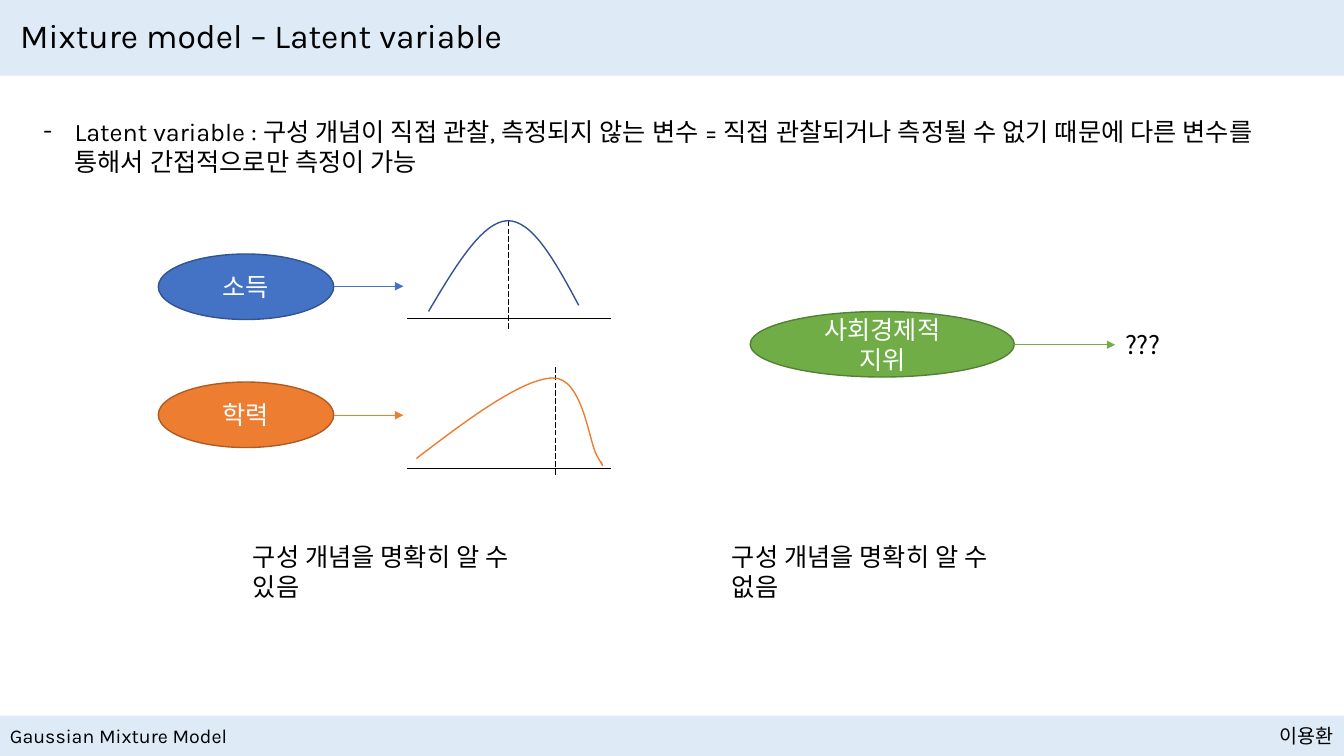
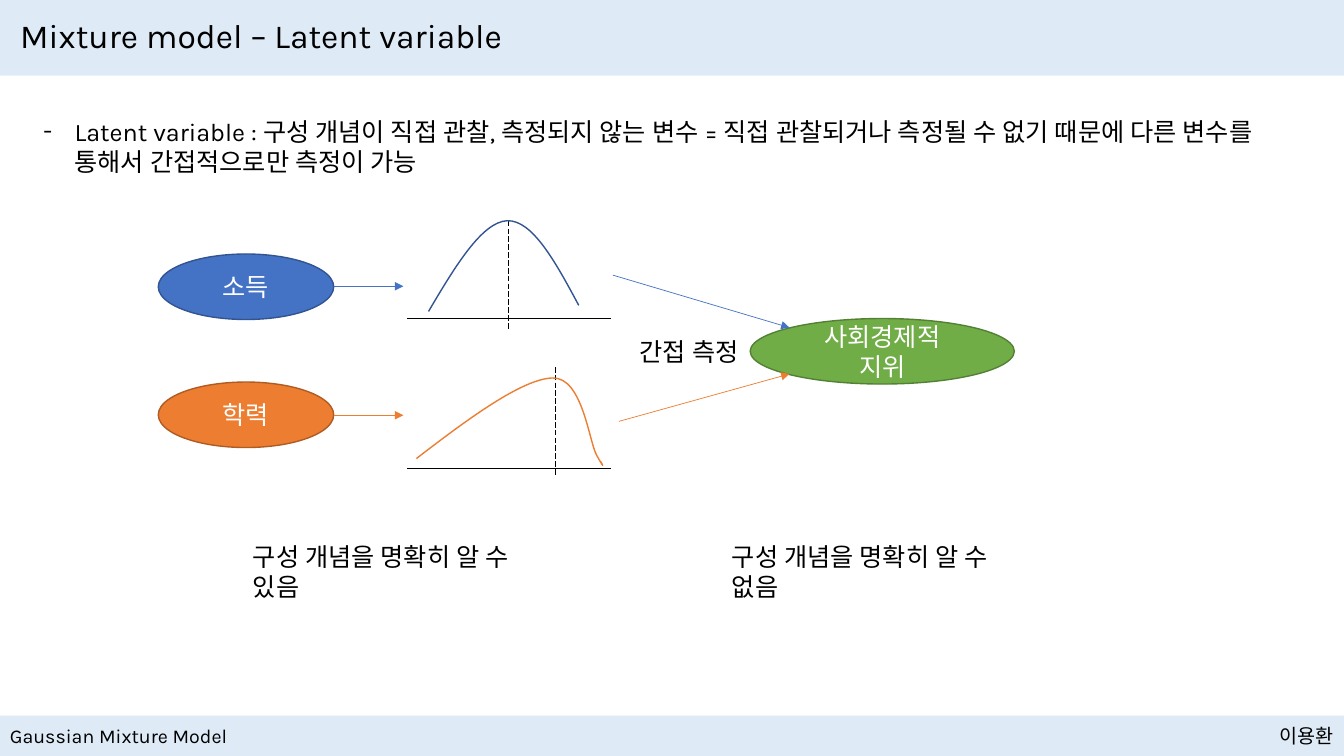
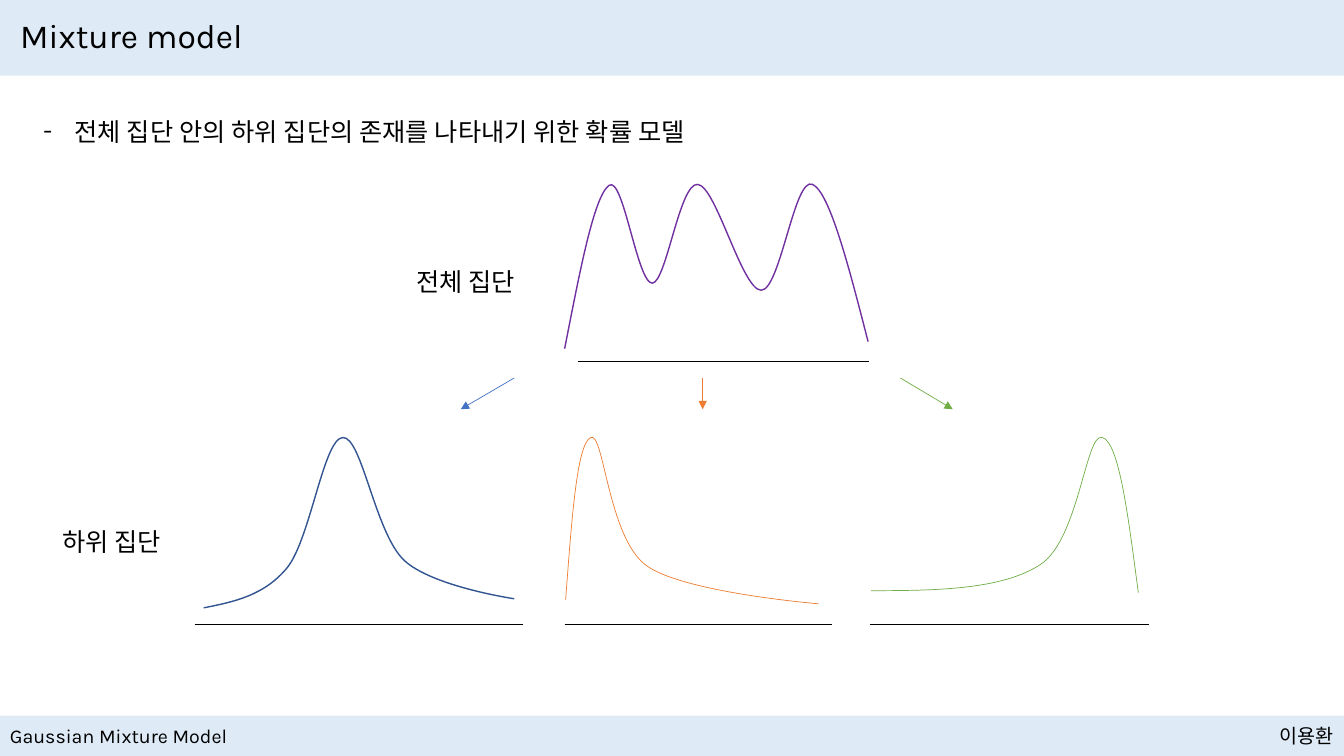
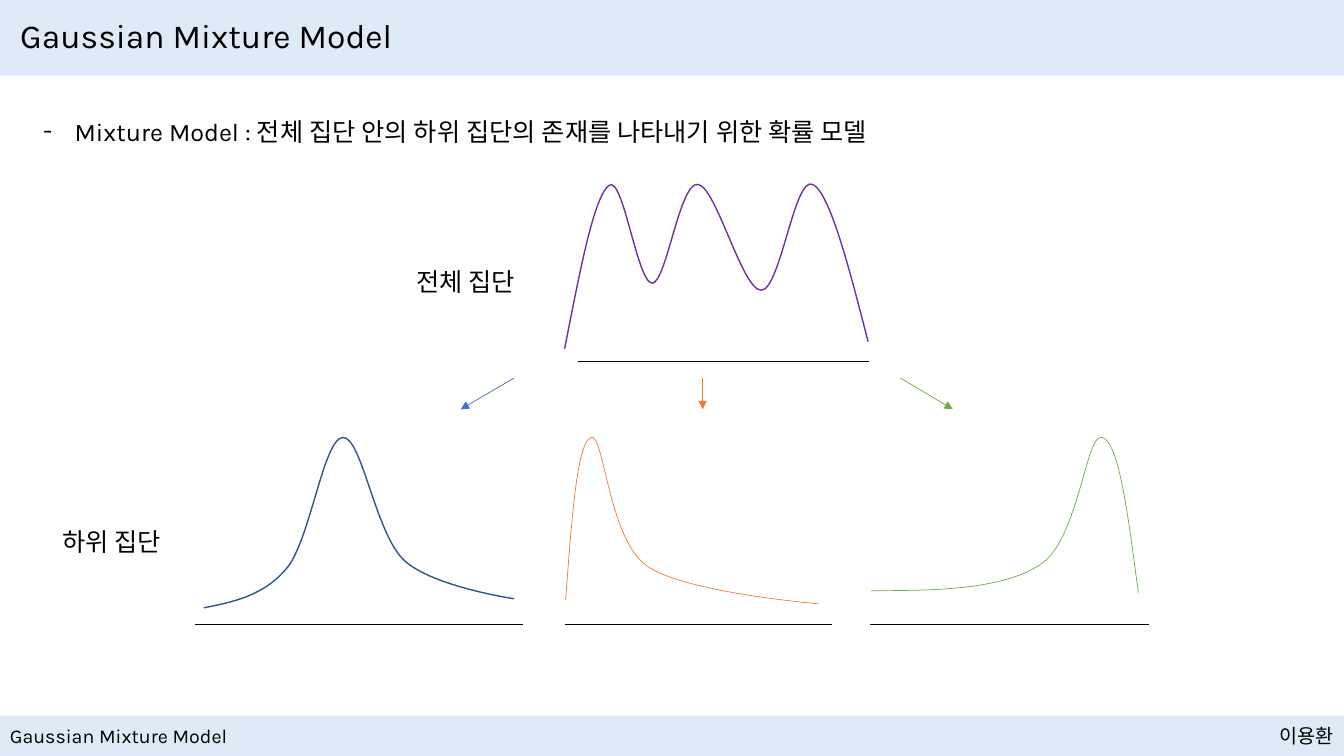
from dataclasses import dataclass
from typing import NamedTuple

from lxml import etree
from pptx import Presentation
from pptx.dml.color import RGBColor
from pptx.enum.dml import MSO_LINE
from pptx.enum.shapes import MSO_CONNECTOR, MSO_SHAPE
from pptx.enum.text import MSO_ANCHOR, MSO_AUTO_SIZE, PP_ALIGN
from pptx.oxml.ns import qn
from pptx.slide import Slide, SlideLayout
from pptx.text.text import TextFrame
from pptx.util import Pt

EMU_PER_PX = 9144
SLIDE_W, SLIDE_H = 1333, 750
TITLE_BAND_H, FOOTER_TOP, FOOTER_H = 75, 710, 40
BULLET_INDENT = 31
BODY_RIGHT_MARGIN = 30

BLACK = RGBColor(0x00, 0x00, 0x00)
WHITE = RGBColor(0xFF, 0xFF, 0xFF)
PALE_BLUE = RGBColor(0xDE, 0xEB, 0xF7)
BLUE = RGBColor(0x44, 0x72, 0xC4)
DARK_BLUE = RGBColor(0x32, 0x54, 0x91)
ORANGE = RGBColor(0xED, 0x7D, 0x31)
DARK_ORANGE = RGBColor(0xAF, 0x5C, 0x24)
GREEN = RGBColor(0x70, 0xAD, 0x47)
DARK_GREEN = RGBColor(0x53, 0x80, 0x35)
PURPLE = RGBColor(0x70, 0x30, 0xA0)

MAIN_FONT, KOREAN_FONT = "Karla", "Noto Sans CJK KR"
LEFT, CENTER, RIGHT = PP_ALIGN.LEFT, PP_ALIGN.CENTER, PP_ALIGN.RIGHT
MIDDLE = MSO_ANCHOR.MIDDLE
NO_FIT, FIT_SHAPE = MSO_AUTO_SIZE.NONE, MSO_AUTO_SIZE.SHAPE_TO_FIT_TEXT
STRAIGHT = MSO_CONNECTOR.STRAIGHT
OVAL, RECTANGLE = MSO_SHAPE.OVAL, MSO_SHAPE.RECTANGLE
LONG_DASH = MSO_LINE.LONG_DASH


class Point(NamedTuple):
    x: int
    y: int


class Box(NamedTuple):
    left: int
    top: int
    width: int
    height: int


@dataclass(frozen=True)
class Label:
    text: str
    box: Box
    align: PP_ALIGN = LEFT
    size: int = 18
    font: str = MAIN_FONT


@dataclass(frozen=True)
class Variable:
    text: str
    box: Box
    fill: RGBColor
    outline: RGBColor


@dataclass(frozen=True)
class Stroke:
    start: Point
    end: Point
    color: RGBColor = BLACK
    arrow: bool = False
    dashed: bool = False


@dataclass(frozen=True)
class Curve:
    color: RGBColor
    weight: float
    knots: tuple[tuple[int, int], ...]


FOOTER_LABELS = (
    Label("Gaussian Mixture Model", Box(0, 713, 240, 34), size=14),
    Label("이용환", Box(1242, 713, 91, 34), RIGHT, size=14),
)

LATENT_TITLE = "Mixture model – Latent variable"
LATENT_DEFINITION = (
    "Latent variable : 구성 개념이 직접 관찰, 측정되지 않는 변수 = 직접 관찰되거나 "
    "측정될 수 없기 때문에 다른 변수를 통해서 간접적으로만 측정이 가능"
)
MIXTURE_DEFINITION = "전체 집단 안의 하위 집단의 존재를 나타내기 위한 확률 모델"

OBSERVED_VARIABLES = (
    Variable("소득", Box(157, 252, 174, 65), BLUE, DARK_BLUE),
    Variable("학력", Box(157, 379, 174, 65), ORANGE, DARK_ORANGE),
)
OBSERVED_STROKES = (
    Stroke(Point(331, 284), Point(400, 284), BLUE, arrow=True),
    Stroke(Point(331, 412), Point(400, 412), ORANGE, arrow=True),
    Stroke(Point(404, 316), Point(606, 316)),
    Stroke(Point(404, 465), Point(606, 465)),
    Stroke(Point(504, 219), Point(504, 327), dashed=True),
    Stroke(Point(551, 364), Point(551, 472), dashed=True),
)
OBSERVED_CURVES = (
    Curve(DARK_BLUE, 1, (
        (425, 309), (451, 265), (478, 220), (503, 219),
        (528, 218), (551, 260), (574, 303))),
    Curve(ORANGE, 1, (
        (413, 455), (465, 415), (518, 376), (548, 375),
        (578, 374), (584, 438), (592, 452),
        (600, 466), (598, 462), (596, 458))),
)
CLARITY_LABELS = (
    Label("구성 개념을 명확히 알 수 있음", Box(241, 532, 318, 40)),
    Label("구성 개념을 명확히 알 수 없음", Box(716, 532, 318, 40)),
)
UNKNOWN_RESULT = Label("???", Box(1106, 322, 70, 40), font=KOREAN_FONT)
UNKNOWN_ARROW = Stroke(Point(1006, 342), Point(1106, 342), GREEN, arrow=True)
INDIRECT_MEASURE = Label("간접 측정", Box(616, 329, 135, 40), CENTER)
INDIRECT_ARROWS = (
    Stroke(Point(608, 273), Point(783, 325), BLUE, arrow=True),
    Stroke(Point(614, 418), Point(783, 371), ORANGE, arrow=True),
)

POPULATION_CURVES = (
    Curve(DARK_BLUE, 1, (
        (202, 603), (232, 597), (262, 591), (285, 563),
        (308, 534), (321, 435), (340, 434),
        (359, 433), (372, 529), (401, 556),
        (429, 582), (510, 594), (510, 594))),
    Curve(ORANGE, 0.5, (
        (561, 595), (567, 517), (572, 440), (586, 434),
        (599, 428), (603, 533), (641, 561),
        (678, 588), (812, 599), (812, 599))),
    Curve(GREEN, 0.5, (
        (864, 586), (929, 586), (994, 585), (1032, 560),
        (1070, 535), (1077, 429), (1093, 434),
        (1110, 438), (1119, 513), (1129, 588))),
    Curve(PURPLE, 1, (
        (560, 346), (575, 270), (589, 195), (604, 184),
        (618, 173), (632, 281), (647, 281),
        (661, 280), (674, 181), (692, 183),
        (710, 184), (736, 288), (755, 288),
        (774, 288), (788, 174), (806, 183),
        (823, 191), (842, 265), (861, 339))),
)
POPULATION_STROKES = (
    Stroke(Point(193, 619), Point(519, 619)),
    Stroke(Point(560, 619), Point(825, 619)),
    Stroke(Point(863, 619), Point(1140, 619)),
    Stroke(Point(573, 359), Point(862, 359)),
    Stroke(Point(510, 375), Point(457, 406), BLUE, arrow=True),
    Stroke(Point(697, 375), Point(697, 406), ORANGE, arrow=True),
    Stroke(Point(893, 375), Point(945, 406), GREEN, arrow=True),
)
POPULATION_LABELS = (
    Label("전체 집단", Box(403, 259, 124, 40)),
    Label("하위 집단", Box(52, 517, 124, 40)),
)


def px(length: int) -> int:
    return length * EMU_PER_PX


def to_emu(lengths: tuple[int, ...]) -> list[int]:
    return [px(length) for length in lengths]


def write_text(frame: TextFrame, text: str, size: int = 18, color: RGBColor = BLACK,
               align: PP_ALIGN = LEFT, font: str = MAIN_FONT) -> None:
    frame.word_wrap = True
    paragraph = frame.paragraphs[0]
    paragraph.add_run().text = text
    paragraph.alignment = align
    paragraph.space_before = Pt(0)
    paragraph.font.name = font
    paragraph.font.size = Pt(size)
    paragraph.font.color.rgb = color
    defaults = paragraph._p.pPr.find(qn("a:defRPr"))
    etree.SubElement(defaults, qn("a:ea")).set("typeface", font)


def draw_label(slide: Slide, label: Label):
    textbox = slide.shapes.add_textbox(*to_emu(label.box))
    write_text(textbox.text_frame, label.text, label.size, align=label.align, font=label.font)
    textbox.text_frame.auto_size = FIT_SHAPE
    return textbox


def draw_band(slide: Slide, box: Box):
    band = slide.shapes.add_shape(RECTANGLE, *to_emu(box))
    band.shadow.inherit = False
    band.fill.solid()
    band.fill.fore_color.rgb = PALE_BLUE
    band.line.fill.background()
    return band


def draw_variable(slide: Slide, variable: Variable) -> None:
    oval = slide.shapes.add_shape(OVAL, *to_emu(variable.box))
    oval.shadow.inherit = False
    oval.fill.solid()
    oval.fill.fore_color.rgb = variable.fill
    oval.line.color.rgb = variable.outline
    oval.line.width = Pt(1)
    oval.text_frame.vertical_anchor = MIDDLE
    write_text(oval.text_frame, variable.text, color=WHITE, align=CENTER)


def draw_stroke(slide: Slide, stroke: Stroke) -> None:
    connector = slide.shapes.add_connector(STRAIGHT, *to_emu(stroke.start + stroke.end))
    line = connector.line
    line.color.rgb = stroke.color
    line.width = Pt(0.5)
    if stroke.dashed:
        line.dash_style = LONG_DASH
    properties = connector.element.spPr
    if stroke.arrow:
        outline = properties.find(qn("a:ln"))
        etree.SubElement(outline, qn("a:tailEnd")).set("type", "triangle")
    etree.SubElement(properties, qn("a:effectLst"))


def draw_curve(slide: Slide, curve: Curve) -> None:
    start, *anchors = curve.knots[::3]
    builder = slide.shapes.build_freeform(*to_emu(start))
    builder.add_line_segments([to_emu(anchor) for anchor in anchors], close=False)
    density = builder.convert_to_shape()
    density.shadow.inherit = False
    density.fill.background()
    density.line.color.rgb = curve.color
    density.line.width = Pt(curve.weight)
    for index, segment in enumerate(density.element.xpath(".//a:lnTo")):
        bend = etree.Element(qn("a:cubicBezTo"))
        for x, y in curve.knots[3 * index + 1:3 * index + 4]:
            knot = etree.SubElement(bend, qn("a:pt"))
            knot.set("x", str(px(x) - density.left))
            knot.set("y", str(px(y) - density.top))
        segment.getparent().replace(segment, bend)


def move_bands_to_layout(slide: Slide, layout: SlideLayout) -> None:
    shared = [
        draw_band(slide, Box(0, 0, SLIDE_W, TITLE_BAND_H)),
        draw_band(slide, Box(0, FOOTER_TOP, SLIDE_W, FOOTER_H)),
    ]
    shared += [draw_label(slide, label) for label in FOOTER_LABELS]
    for order, part in enumerate(shared):
        part.element.xpath(".//p:cNvPr")[0].set("id", str(101 + order))
        layout.shapes.element.insert(2 + order, part.element)


def add_topic(deck: Presentation, layout: SlideLayout, heading: str, definition: str,
              definition_height: int) -> Slide:
    slide = deck.slides.add_slide(layout)
    title, body = slide.shapes.title, slide.placeholders[1]
    title.left, title.top, title.width, title.height = to_emu(Box(10, 10, 1314, 55))
    title.text_frame.vertical_anchor = MIDDLE
    title.text_frame.auto_size = NO_FIT
    write_text(title.text_frame, heading, size=24)
    title.text_frame.paragraphs[0].line_spacing = 0.9

    body.left, body.top, body.width, body.height = to_emu(Box(33, 110, 1266, definition_height))
    body.text_frame.auto_size = FIT_SHAPE
    body.text_frame.margin_right = px(BODY_RIGHT_MARGIN)
    bullet = body.text_frame.paragraphs[0]._p.get_or_add_pPr()
    bullet.set("marL", str(px(BULLET_INDENT)))
    bullet.set("indent", str(-px(BULLET_INDENT)))
    etree.SubElement(bullet, qn("a:buFont")).set("typeface", MAIN_FONT)
    etree.SubElement(bullet, qn("a:buChar")).set("char", "-")
    write_text(body.text_frame, definition)
    return slide


def add_latent_slide(deck: Presentation, layout: SlideLayout, status_top: int,
                     result: Label, arrows: tuple[Stroke, ...]) -> Slide:
    slide = add_topic(deck, layout, LATENT_TITLE, LATENT_DEFINITION, 71)
    status = Variable("사회경제적 지위", Box(744, status_top, 262, 65), GREEN, DARK_GREEN)
    for variable in (*OBSERVED_VARIABLES, status):
        draw_variable(slide, variable)
    for stroke in OBSERVED_STROKES + arrows:
        draw_stroke(slide, stroke)
    for curve in OBSERVED_CURVES:
        draw_curve(slide, curve)
    for label in (*CLARITY_LABELS, result):
        draw_label(slide, label)
    return slide


def add_mixture_slide(deck: Presentation, layout: SlideLayout, heading: str,
                      definition: str) -> None:
    slide = add_topic(deck, layout, heading, definition, 40)
    for stroke in POPULATION_STROKES:
        draw_stroke(slide, stroke)
    for curve in POPULATION_CURVES:
        draw_curve(slide, curve)
    for label in POPULATION_LABELS:
        draw_label(slide, label)


def main() -> None:
    deck = Presentation()
    deck.slide_width, deck.slide_height = px(SLIDE_W), px(SLIDE_H)
    layout = deck.slide_layouts[1]
    unknown = add_latent_slide(deck, layout, 309, UNKNOWN_RESULT, (UNKNOWN_ARROW,))
    move_bands_to_layout(unknown, layout)
    add_latent_slide(deck, layout, 316, INDIRECT_MEASURE, INDIRECT_ARROWS)
    add_mixture_slide(deck, layout, "Mixture model", MIXTURE_DEFINITION)
    add_mixture_slide(deck, layout, "Gaussian Mixture Model",
                      f"Mixture Model : {MIXTURE_DEFINITION}")
    deck.save("out.pptx")


if __name__ == "__main__":
    main()
